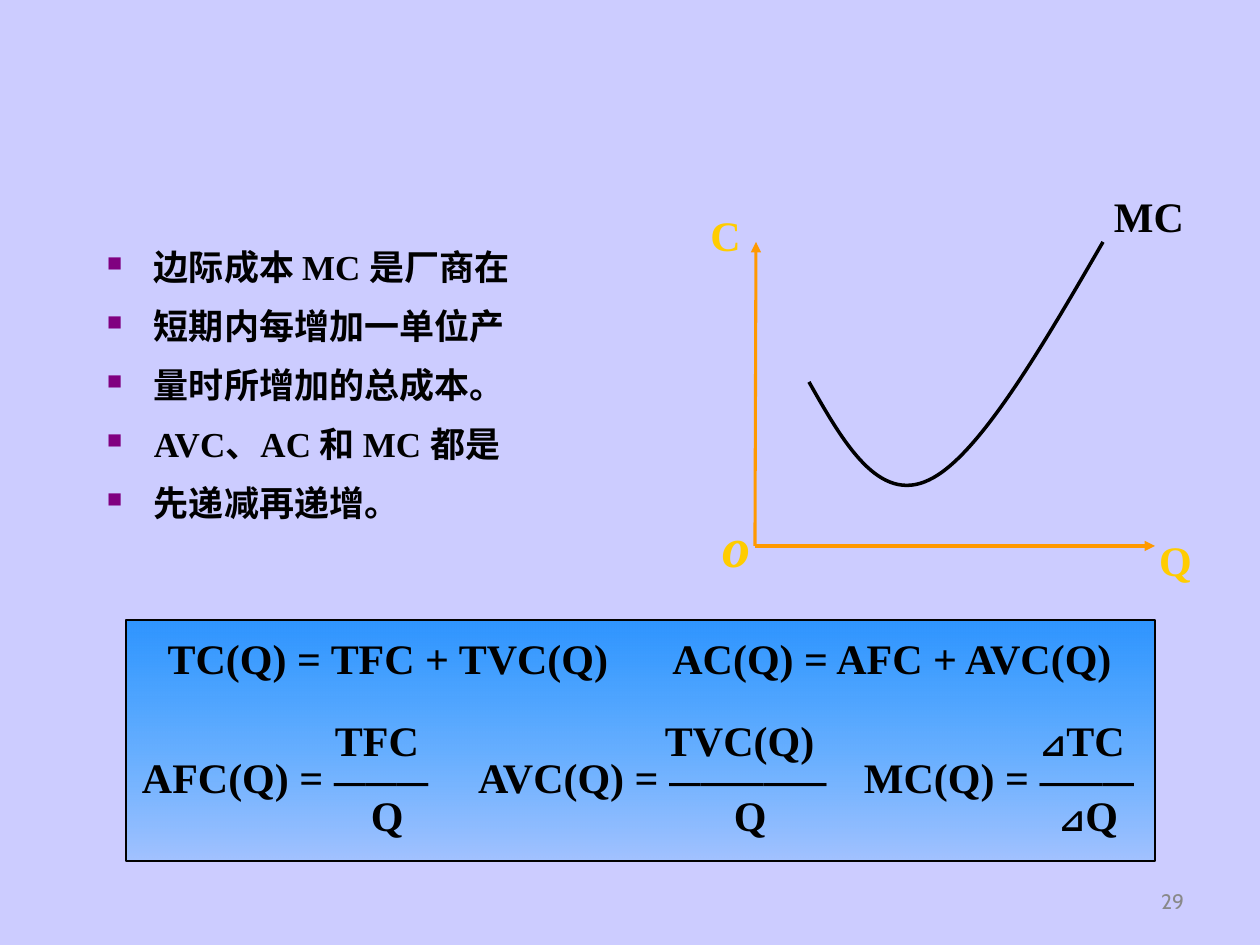
from dataclasses import dataclass
from itertools import groupby

from lxml import etree
from pptx import Presentation
from pptx.dml.color import RGBColor
from pptx.enum import shapes, text
from pptx.oxml import ns
from pptx.util import Pt

EMU = 914400 / 126
SERIF = "Times New Roman"
INK, GOLD, AXIS = "000000", "FFCC00", "FF9900"
LEFT, MID, RIGHT = text.PP_ALIGN.LEFT, text.PP_ALIGN.CENTER, text.PP_ALIGN.RIGHT
TIGHT, PLAIN = (35, 0, 5, 21), (13, 6, 13, 6)


@dataclass
class Line:
    words: str
    indent: int = 0


@dataclass
class Label:
    box: tuple
    lines: list
    size: int = 24
    color: str = INK
    font: str = SERIF
    align: int = MID
    space: float = 1.4
    inset: tuple = TIGHT
    wrap: bool = True
    bold: bool = True
    slant: bool = False


def px(n: float) -> int:
    return round(n * EMU)


def rgb(code: str) -> RGBColor:
    return RGBColor.from_string(code)


def add(parent, tag: str, **attrs):
    return etree.SubElement(parent, ns.qn(tag), attrs)


def bullet(para) -> None:
    props = para._p.get_or_add_pPr()
    props.set("marL", str(px(47)))
    props.set("indent", str(px(-47)))
    add(add(props, "a:buClr"), "a:srgbClr", val="800080")
    add(props, "a:buSzPct", val="60000")
    add(props, "a:buChar", char="■")


def write(slide, label: Label, marks: bool = False):
    box = slide.shapes.add_textbox(*map(px, label.box))
    frame = box.text_frame
    frame.word_wrap = label.wrap
    (frame.margin_left, frame.margin_top,
     frame.margin_right, frame.margin_bottom) = map(px, label.inset)
    for i, line in enumerate(label.lines):
        para = frame.add_paragraph() if i else frame.paragraphs[0]
        para.alignment = label.align
        para.line_spacing = label.space
        if marks:
            para.space_before = Pt(5 if i else 0)
            bullet(para)
        elif line.indent:
            para._p.get_or_add_pPr().set("marL", str(px(line.indent)))
        font = para.font
        font.name, font.size = label.font, Pt(label.size)
        font.bold, font.italic = label.bold, label.slant
        font.color.rgb = rgb(label.color)
        for sign, part in groupby(line.words, lambda c: c in "—⊿"):
            run = para.add_run()
            run.text = "".join(part)
            if sign:
                run.font.name, run.font.size = "Arial", Pt(18)
    return box


def arrow(slide, start: tuple, end: tuple) -> None:
    line = slide.shapes.add_connector(
        shapes.MSO_CONNECTOR.STRAIGHT, *map(px, start + end))
    line.line.color.rgb = rgb(AXIS)
    line.line.width = Pt(1.75)
    add(line.line._get_or_add_ln(), "a:tailEnd", type="triangle")
    add(line._element.spPr, "a:effectLst")


def curve(slide, start: tuple, *points: tuple) -> None:
    pen = slide.shapes.build_freeform(*start, scale=EMU)
    pen.add_line_segments(points, close=False)
    form = pen.convert_to_shape()
    form.shadow.inherit = False
    form.fill.background()
    form.line.color.rgb = rgb(INK)
    form.line.width = Pt(2)
    route = form._element.find(".//" + ns.qn("a:path"))
    steps = route.findall(ns.qn("a:lnTo"))
    for i in range(0, len(steps), 3):
        bend = add(route, "a:cubicBezTo")
        for step in steps[i:i + 3]:
            bend.append(step[0])
            route.remove(step)


def panel(slide, box: tuple) -> None:
    rect = slide.shapes.add_shape(
        shapes.MSO_SHAPE.RECTANGLE, *map(px, box))
    rect.shadow.inherit = False
    rect.line.color.rgb = rgb(INK)
    rect.line.width = Pt(0.75)
    rect.fill.gradient()
    rect.fill.gradient_angle = 270
    for stop, code, alpha in zip(rect.fill.gradient_stops,
                                 ("2592FF", "0099FF"), ("95000", "20000")):
        stop.color.rgb = rgb(code)
    for tint, alpha in zip(rect._element.spPr.iter(ns.qn("a:gs")),
                           ("95000", "20000")):
        add(tint[0], "a:alpha", val=alpha)


NOTES = ["边际成本 MC 是厂商在", "短期内每增加一单位产", "量时所增加的总成本。",
         "AVC、AC 和 MC 都是", "先递减再递增。"]

AXES = [
    Label((687, 485, 68, 105), [Line("o")], 32, GOLD, wrap=False, slant=True),
    Label((1124, 514, 73, 92), [Line("Q")], color=GOLD, wrap=False),
    Label((675, 189, 71, 92), [Line("C")], color=GOLD, wrap=False),
    Label((1071, 170, 126, 92), [Line("MC")]),
]

SUMS = [(126, "TC(Q) = TFC + TVC(Q)"), (630, "AC(Q) = AFC + AVC(Q)")]

RATIOS = [
    (84, 378, [Line("TFC", 216), Line("AFC(Q) = ———", 23), Line("Q", 252)]),
    (420, 431, [Line("TVC(Q)", 210), Line("AVC(Q) = —————", 23),
                Line("Q", 279)]),
    (798, 378, [Line("⊿TC", 207), Line("MC(Q) = ———", 31),
                Line("⊿Q", 226)]),
]


def main() -> None:
    deck = Presentation()
    deck.slide_width, deck.slide_height = px(1260), px(945)
    slide = deck.slides.add_slide(deck.slide_layouts[6])
    slide.background.fill.solid()
    slide.background.fill.fore_color.rgb = rgb("CCCCFF")

    page = write(slide, Label((903, 876, 294, 50), [Line("29")], 12, "898989",
                              "Cabin", RIGHT, 1.0, PLAIN, bold=False))
    page.text_frame.vertical_anchor = text.MSO_ANCHOR.MIDDLE
    write(slide, Label((94, 231, 1081, 472), [Line(n) for n in NOTES], 20,
                       align=LEFT, space=1.2, inset=PLAIN), marks=True)

    arrow(slide, (755, 546), (1155, 546))
    arrow(slide, (755, 546), (756, 242))
    for label in AXES:
        write(slide, label)
    curve(slide, (809, 382), (844, 444), (879, 504), (929, 480),
          (978, 457), (1041, 349), (1103, 242))

    panel(slide, (126, 620, 1029, 241))
    for left, words in SUMS:
        write(slide, Label((left, 644, 494, 59), [Line(words)], space=0.75))
    for left, width, lines in RATIOS:
        write(slide, Label((left, 726, width, 140), lines,
                           align=LEFT, space=0.75))
    deck.save("out.pptx")


if __name__ == "__main__":
    main()
